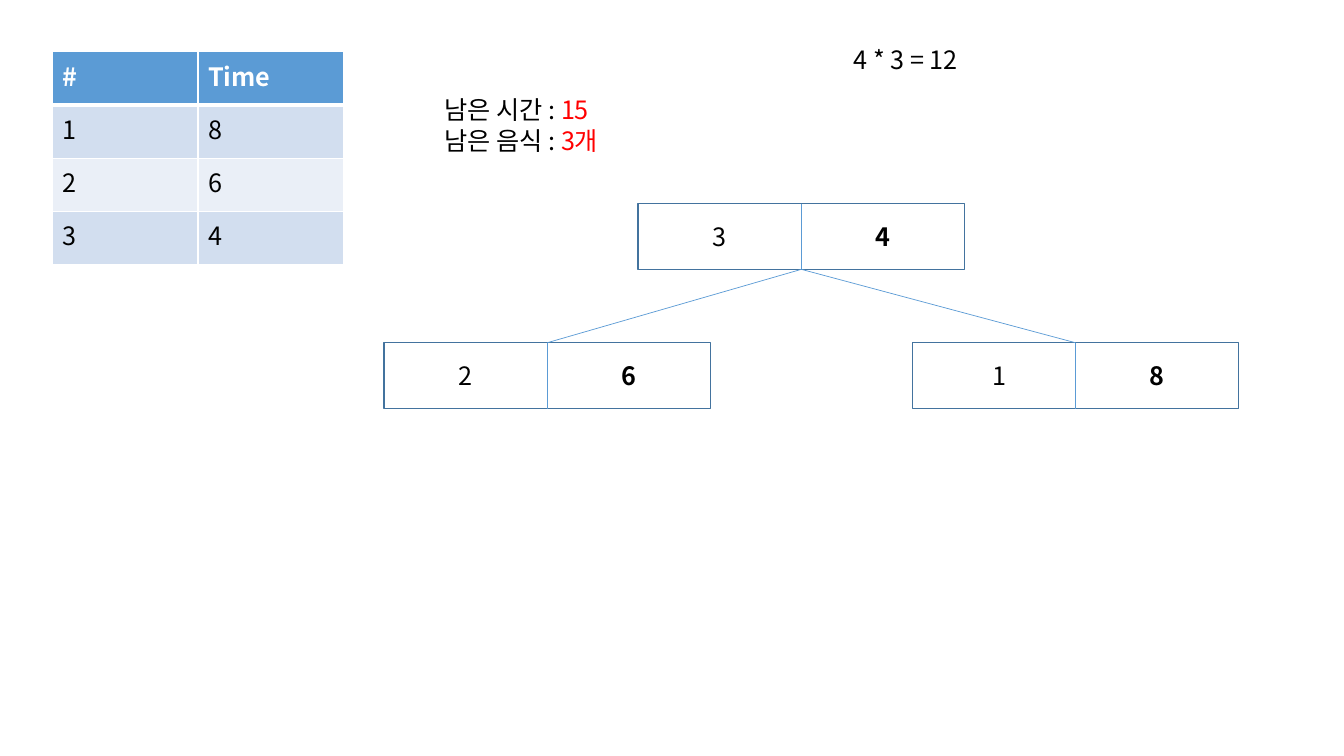
from lxml import etree
from pptx import Presentation
from pptx.dml.color import RGBColor
from pptx.enum.shapes import MSO_CONNECTOR, MSO_SHAPE
from pptx.enum.text import MSO_AUTO_SIZE, PP_ALIGN
from pptx.oxml.ns import qn
from pptx.util import Pt

# Content
FONT = "Noto Sans CJK KR"
BLACK, RED, WHITE = "000000", "FF0000", "FFFFFF"
BLUE, OUTLINE = "5B9BD5", "43739E"
BANDS = ("D2DEEF", "EAEFF7")

FOODS = [("#", "Time"), ("1", "8"), ("2", "6"), ("3", "4")]
STATUS = [
    [("남은 시간 : ", BLACK), ("15", RED)],
    [("남은 음식 : ", BLACK), ("3개", RED)],
]
FORMULA = [[("4 * 3 = 12", BLACK)]]

# Heap nodes: food number, time, left, top, shift of the number; root first
NODES = [
    ("3", "4", 455.8, 145.4, 0),
    ("2", "6", 274.3, 244.8, 0),
    ("1", "8", 651.6, 244.8, 4),
]
NODE_W, NODE_H = 233.2, 47
LABEL_W, LABEL_H = 24.8, 28.8
COL_W, ROW_H = 103.7, 38

prs = Presentation()
prs.slide_width, prs.slide_height = Pt(960), Pt(540)
slide = prs.slides.add_slide(prs.slide_layouts[6])
shapes = slide.shapes


def color(hex_code):
    return RGBColor.from_string(hex_code)


def add_run(paragraph, text, hex_code=BLACK, bold=False):
    run = paragraph.add_run()
    run.text = text
    font = run.font
    font.name, font.size, font.bold = FONT, Pt(18), bold
    font.color.rgb = color(hex_code)
    etree.SubElement(font._element, qn("a:ea")).set("typeface", FONT)


def add_text(left, top, width, height, lines, bold=False, label=False):
    frame = shapes.add_textbox(Pt(left), Pt(top), Pt(width), Pt(height)).text_frame
    frame.word_wrap = not label
    frame.auto_size = MSO_AUTO_SIZE.SHAPE_TO_FIT_TEXT
    for i, runs in enumerate(lines):
        paragraph = frame.add_paragraph() if i else frame.paragraphs[0]
        if label:
            paragraph.alignment = PP_ALIGN.CENTER
        for text, hex_code in runs:
            add_run(paragraph, text, hex_code, bold)


def add_line(x1, y1, x2, y2):
    line = shapes.add_connector(MSO_CONNECTOR.STRAIGHT, Pt(x1), Pt(y1), Pt(x2), Pt(y2))
    line.line.color.rgb = color(BLUE)
    line.line.width = Pt(0.5)
    etree.SubElement(line._element.spPr, qn("a:effectLst"))


def set_borders(cell, bottom):
    props = cell._tc.get_or_add_tcPr()
    widths = {"a:lnL": 1, "a:lnR": 1, "a:lnT": 1, "a:lnB": bottom}
    for i, (tag, width) in enumerate(widths.items()):
        border = etree.Element(qn(tag), w=str(Pt(width)))
        fill = etree.SubElement(border, qn("a:solidFill"))
        etree.SubElement(fill, qn("a:srgbClr"), val=WHITE)
        props.insert(i, border)


# Food table
table = shapes.add_table(len(FOODS), 2, Pt(37.8), Pt(37),
                         Pt(2 * COL_W), Pt(len(FOODS) * ROW_H)).table
for column in table.columns:
    column.width = Pt(COL_W)
for r, values in enumerate(FOODS):
    header = r == 0
    table.rows[r].height = Pt(ROW_H)
    for c, value in enumerate(values):
        cell = table.cell(r, c)
        cell.fill.solid()
        cell.fill.fore_color.rgb = color(BLUE if header else BANDS[(r - 1) % 2])
        add_run(cell.text_frame.paragraphs[0], value, WHITE if header else BLACK, header)
        set_borders(cell, 3 if header else 1)

# Remaining time and food, total eaten
add_text(310.3, 64, 229.7, 51, STATUS)
add_text(602.6, 28, 236, LABEL_H, FORMULA)

# Heap nodes: number in the left half, time in the right half
for number, time, left, top, shift in NODES:
    box = shapes.add_shape(MSO_SHAPE.RECTANGLE, Pt(left), Pt(top), Pt(NODE_W), Pt(NODE_H))
    box.shadow.inherit = False
    box.fill.background()
    box.line.color.rgb = color(OUTLINE)
    box.line.width = Pt(1)
    middle = left + NODE_W / 2
    add_line(middle, top, middle, top + NODE_H)
    label_top = top + (NODE_H - LABEL_H) / 2
    for text, center, bold in ((number, NODE_W / 4 + shift, False),
                               (time, NODE_W * 3 / 4, True)):
        add_text(left + center - LABEL_W / 2, label_top, LABEL_W, LABEL_H,
                 [[(text, BLACK)]], bold, label=True)

# Branches from the root to its children
_, _, root_left, root_top, _ = NODES[0]
for _, _, left, top, _ in NODES[1:]:
    add_line(root_left + NODE_W / 2, root_top + NODE_H, left + NODE_W / 2, top)

prs.save("out.pptx")
